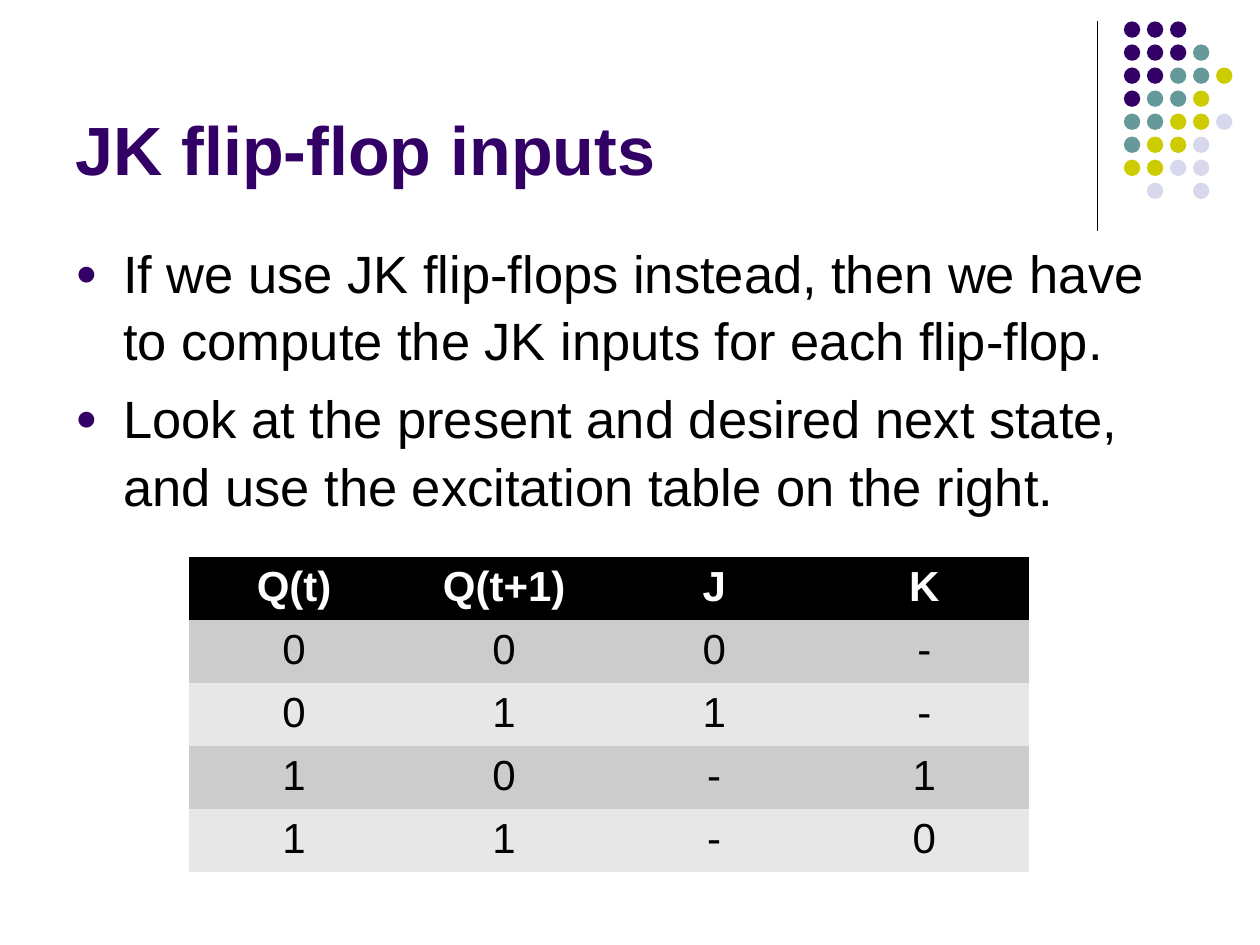
from typing import NamedTuple

from lxml import etree
from pptx import Presentation
from pptx.dml.color import RGBColor
from pptx.enum import shapes, text
from pptx.oxml.ns import qn
from pptx.util import Emu, Inches, Pt

FONT = "Arial"
PURPLE = RGBColor(0x33, 0x00, 0x66)
TEAL = RGBColor(0x66, 0x99, 0x99)
OLIVE = RGBColor(0xCC, 0xCC, 0x00)
LAVENDER = RGBColor(0xD8, 0xD8, 0xEC)
BLACK = RGBColor(0x00, 0x00, 0x00)
WHITE = RGBColor(0xFF, 0xFF, 0xFF)
BAND_DARK = RGBColor(0xCC, 0xCC, 0xCC)
BAND_LIGHT = RGBColor(0xE7, 0xE7, 0xE7)


class RunStyle(NamedTuple):
    size: float
    color: RGBColor
    bold: bool = False


TITLE = RunStyle(39, PURPLE, True)
BODY = RunStyle(30, BLACK)
HEADER = RunStyle(24, WHITE, True)
CELL = RunStyle(24, BLACK)

# One letter per dot colour; a space leaves a gap
DOT_COLORS = {"P": PURPLE, "T": TEAL, "O": OLIVE, "L": LAVENDER}
DOT_ROWS = ["PPP", "PPPT", "PPTTO", "PTTO", "TTOOL", "TOOL", "OOLL", " L L"]

BULLETS = [
    "If we use JK flip-flops instead, then we have to compute the JK inputs "
    "for each flip-flop.",
    "Look at the present and desired next state, and use the excitation table "
    "on the right.",
]

EXCITATION = [
    ["Q(t)", "Q(t+1)", "J", "K"],
    ["0", "0", "0", "-"],
    ["0", "1", "1", "-"],
    ["1", "0", "-", "1"],
    ["1", "1", "-", "0"],
]


def add_run(p, content: str, style: RunStyle) -> None:
    r = p.add_run()
    r.text = content
    r.font.name = FONT
    r.font.size = Pt(style.size)
    r.font.bold = style.bold
    r.font.color.rgb = style.color


def add_divider(slide) -> None:
    line = slide.shapes.add_connector(
        shapes.MSO_CONNECTOR.STRAIGHT,
        Inches(8.71), Inches(0.17), Inches(8.71), Inches(1.83))
    line.line.color.rgb = BLACK
    line.line.width = Pt(0.75)
    etree.SubElement(line._element.spPr, qn("a:effectLst"))


def add_dots(slide) -> None:
    group = slide.shapes.add_group_shape()
    size, pitch = Inches(0.13), Inches(1.28) / 7
    for row, letters in enumerate(DOT_ROWS):
        for col, letter in enumerate(letters):
            if letter == " ":
                continue
            sp = group.shapes.add_shape(
                shapes.MSO_SHAPE.OVAL,
                Emu(int(Inches(8.92) + col * pitch)),
                Emu(int(Inches(0.17) + row * pitch)), size, size)
            sp.shadow.inherit = False
            sp.fill.solid()
            sp.fill.fore_color.rgb = DOT_COLORS[letter]
            sp.line.fill.background()


def set_title(slide, content: str) -> None:
    sp = slide.shapes.title
    sp.left, sp.top = Inches(0.5), Inches(0.13)
    sp.width, sp.height = Inches(8.25), Inches(1.42)
    tf = sp.text_frame
    tf.vertical_anchor = text.MSO_ANCHOR.BOTTOM
    p = tf.paragraphs[0]
    p.alignment = text.PP_ALIGN.LEFT
    add_run(p, content, TITLE)


def set_bullet(p) -> None:
    pPr = p._p.get_or_add_pPr()
    pPr.set("marL", str(Inches(0.38)))
    pPr.set("indent", str(-Inches(0.38)))
    color = etree.SubElement(pPr, qn("a:buClr"))
    etree.SubElement(color, qn("a:srgbClr"), val=str(PURPLE))
    etree.SubElement(pPr, qn("a:buSzPct"), val="70000")
    etree.SubElement(pPr, qn("a:buFont"), typeface=FONT)
    etree.SubElement(pPr, qn("a:buChar"), char="●")


def add_bullets(slide) -> None:
    box = slide.shapes.add_textbox(
        Inches(0.5), Inches(1.83), Inches(8.92), Inches(4.75))
    tf = box.text_frame
    tf.word_wrap = True
    for i, content in enumerate(BULLETS):
        p = tf.add_paragraph() if i else tf.paragraphs[0]
        p.line_spacing = 1.07
        p.space_before = Pt(6)
        set_bullet(p)
        add_run(p, content, BODY)


def add_excitation_table(slide) -> None:
    n_rows, n_cols = len(EXCITATION), len(EXCITATION[0])
    row_height = Inches(0.47)
    table = slide.shapes.add_table(
        n_rows, n_cols, Inches(1.5), Inches(4.42),
        Inches(6.67), row_height * n_rows).table
    for i, values in enumerate(EXCITATION):
        table.rows[i].height = row_height
        band = BAND_DARK if i % 2 else BAND_LIGHT
        for j, value in enumerate(values):
            cell = table.cell(i, j)
            cell.fill.solid()
            cell.fill.fore_color.rgb = band if i else BLACK
            # Plain fills without the default white grid
            for side in ("a:lnL", "a:lnR", "a:lnT", "a:lnB"):
                border = etree.Element(qn(side), w="0")
                etree.SubElement(border, qn("a:noFill"))
                cell._tc.tcPr.insert(len(cell._tc.tcPr) - 1, border)
            p = cell.text_frame.paragraphs[0]
            p.alignment = text.PP_ALIGN.CENTER
            add_run(p, value, CELL if i else HEADER)


def main() -> None:
    prs = Presentation()
    prs.slide_width, prs.slide_height = Inches(10), Inches(7.5)
    slide = prs.slides.add_slide(prs.slide_layouts[5])

    # Corner decoration
    add_divider(slide)
    add_dots(slide)

    # Content
    set_title(slide, "JK flip-flop inputs")
    add_bullets(slide)
    add_excitation_table(slide)

    prs.save("out.pptx")


if __name__ == "__main__":
    main()
